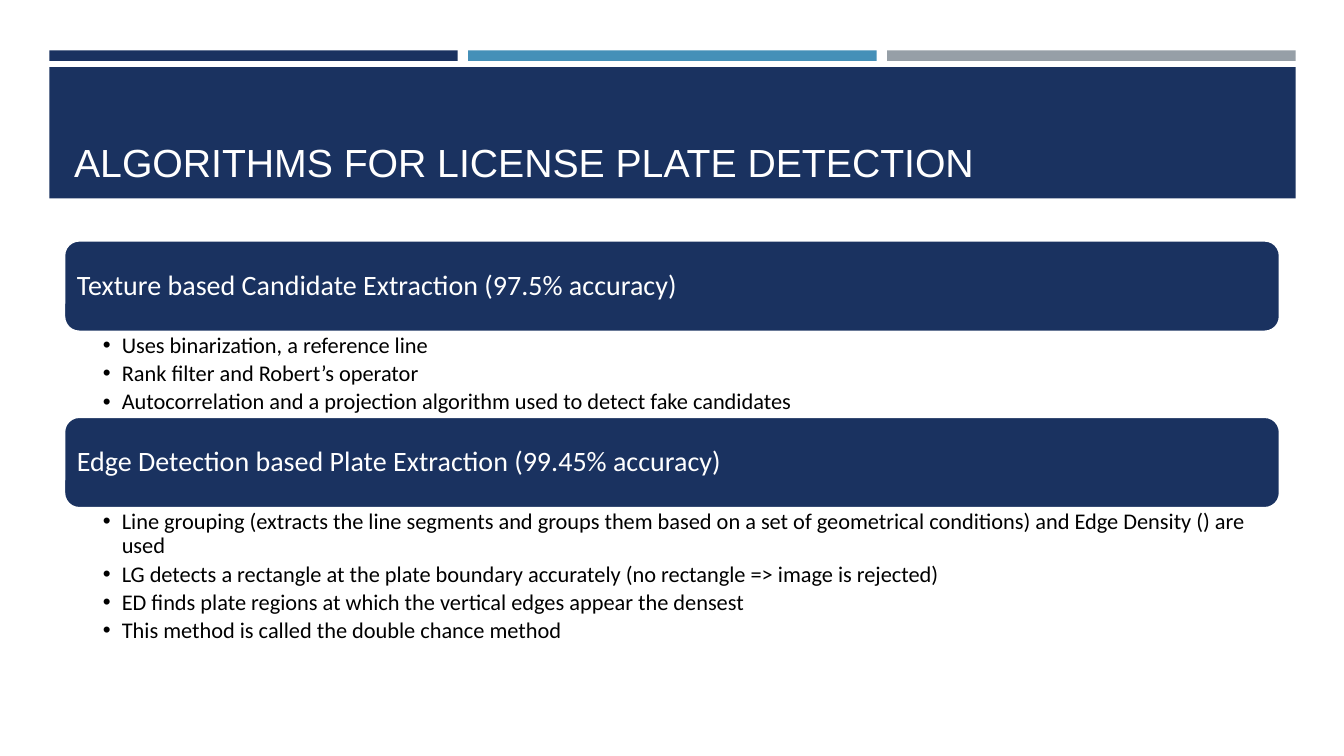
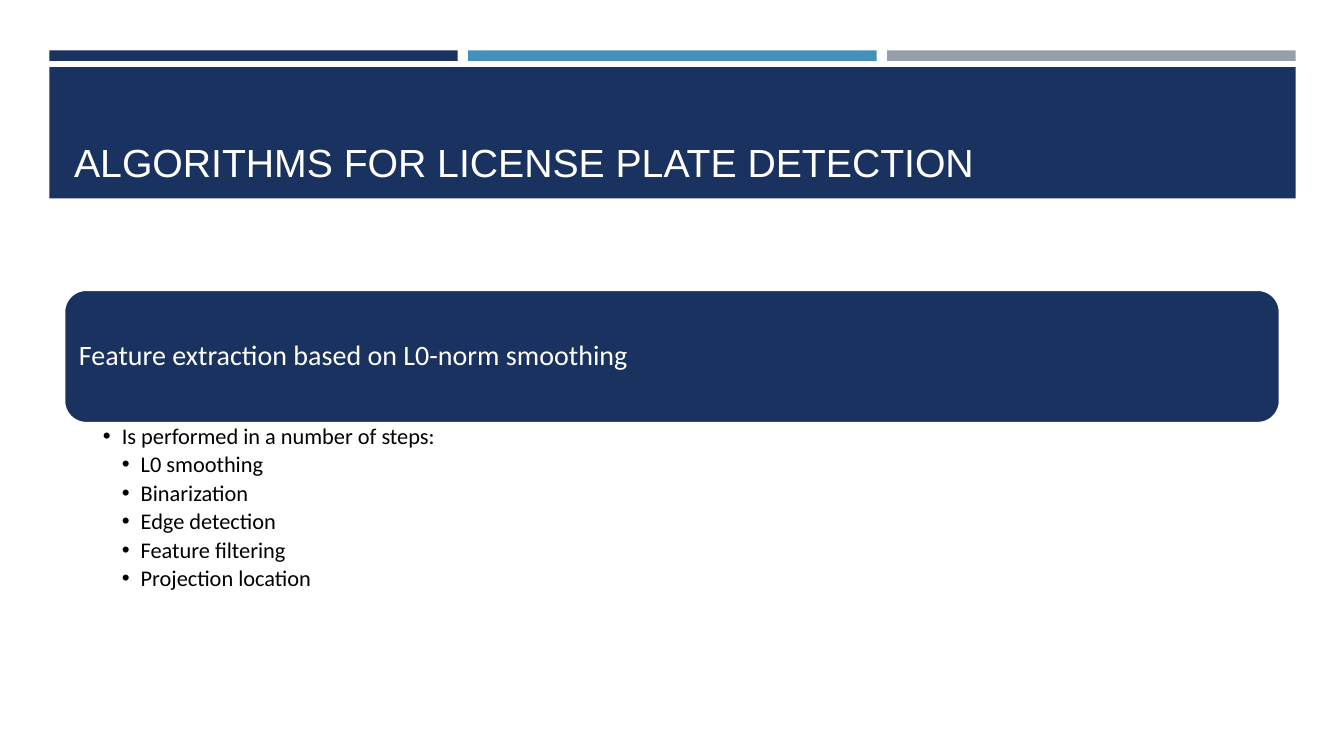
from dataclasses import dataclass

from lxml.etree import SubElement
from pptx import Presentation
from pptx.dml.color import RGBColor
from pptx.enum.shapes import MSO_SHAPE
from pptx.enum.text import MSO_ANCHOR, MSO_AUTO_SIZE, PP_ALIGN
from pptx.oxml.ns import qn
from pptx.presentation import Presentation as Deck
from pptx.shapes.autoshape import Shape
from pptx.slide import Slide
from pptx.text.text import TextFrame, _Paragraph
from pptx.util import Pt

PX = 9525
COLORS = {"navy": "1A3260", "blue": "4590B8", "gray": "969FA7", "white": "FFFFFF", "black": "000000"}
TITLE = "ALGORITHMS FOR LICENSE PLATE DETECTION"
TITLE_FONT, BODY_FONT = "Arial", "Calibri"
BAND_LEFT, BAND_WIDTH = 47, 1187
STRIPE_COLORS, STRIPE_GAP = ("navy", "blue", "gray"), 10
BODY_LEFT, BODY_WIDTH = 61, 1158
BULLET_INDENT = 18


@dataclass(frozen=True)
class Box:
    """A rectangle in px."""

    left: int
    top: int
    width: int
    height: int

    def emu(self) -> tuple[int, int, int, int]:
        """Return the sides in EMU."""
        return self.left * PX, self.top * PX, self.width * PX, self.height * PX


@dataclass(frozen=True)
class Point:
    """A bulleted line and its depth."""

    text: str
    level: int = 1


@dataclass(frozen=True)
class Method:
    """A heading bar with the points below it."""

    heading: str
    top: int
    bar_height: int
    points_height: int
    points: tuple[Point, ...]


SLIDES = (
    (
        Method("Texture based Candidate Extraction (97.5% accuracy)", 229, 87, 81, (
            Point("Uses binarization, a reference line"),
            Point("Rank filter and Robert’s operator"),
            Point("Autocorrelation and a projection algorithm used to detect fake candidates"),
        )),
        Method("Edge Detection based Plate Extraction (99.45% accuracy)", 397, 87, 132, (
            Point("Line grouping (extracts the line segments and groups them based on a set of "
                  "geometrical conditions) and Edge Density () are used"),
            Point("LG detects a rectangle at the plate boundary accurately "
                  "(no rectangle => image is rejected)"),
            Point("ED finds plate regions at which the vertical edges appear the densest"),
            Point("This method is called the double chance method"),
        )),
    ),
    (
        Method("Feature extraction based on L0-norm smoothing", 276, 127, 166, (
            Point("Is performed in a number of steps:"),
            Point("L0 smoothing", 2),
            Point("Binarization", 2),
            Point("Edge detection", 2),
            Point("Feature filtering", 2),
            Point("Projection location", 2),
        )),
    ),
)


def rgb(color: str) -> RGBColor:
    """Look up a named colour."""
    return RGBColor.from_string(COLORS[color])


def style(paragraph: _Paragraph, font: str, size: int, color: str) -> None:
    """Left-align a paragraph and set its font."""
    paragraph.alignment = PP_ALIGN.LEFT
    paragraph.font.name = font
    paragraph.font.size = Pt(size)
    paragraph.font.color.rgb = rgb(color)


def set_insets(frame: TextFrame, left: int, top: int, right: int, bottom: int) -> None:
    """Wrap a text frame and set its insets in px."""
    frame.word_wrap = True
    frame.margin_left, frame.margin_top = left * PX, top * PX
    frame.margin_right, frame.margin_bottom = right * PX, bottom * PX


def add_block(slide: Slide, box: Box, color: str, preset: MSO_SHAPE = MSO_SHAPE.RECTANGLE) -> Shape:
    """Add a flat filled shape without an outline."""
    block = slide.shapes.add_shape(preset, *box.emu())
    block.shadow.inherit = False
    block.fill.solid()
    block.fill.fore_color.rgb = rgb(color)
    block.line.fill.background()
    return block


def add_header(slide: Slide) -> None:
    """Draw the stripes and title band and place the title on them."""
    stripe_count = len(STRIPE_COLORS)
    stripe_width = (BAND_WIDTH - STRIPE_GAP * (stripe_count - 1)) // stripe_count
    for index, color in enumerate(STRIPE_COLORS):
        left = BAND_LEFT + index * (stripe_width + STRIPE_GAP)
        add_block(slide, Box(left, 48, stripe_width, 10), color)
    add_block(slide, Box(BAND_LEFT, 64, BAND_WIDTH, 125), "navy")

    title = slide.shapes.title
    title.left, title.top, title.width, title.height = Box(BODY_LEFT, 74, BODY_WIDTH, 107).emu()
    title.element.getparent().append(title.element)
    frame = title.text_frame
    frame.text = TITLE
    frame.auto_size = MSO_AUTO_SIZE.NONE
    frame.vertical_anchor = MSO_ANCHOR.BOTTOM
    style(frame.paragraphs[0], TITLE_FONT, 28, "white")


def add_bullet(paragraph: _Paragraph, level: int) -> None:
    """Give a paragraph a bullet and a hanging indent."""
    properties = paragraph._p.get_or_add_pPr()
    properties.set("marL", str(level * BULLET_INDENT * PX))
    properties.set("indent", str(-BULLET_INDENT * PX))
    SubElement(properties, qn("a:buFont"), typeface="Arial")
    SubElement(properties, qn("a:buChar"), char="•")


def add_points(slide: Slide, box: Box, points: tuple[Point, ...]) -> None:
    """Write the bulleted points."""
    frame = slide.shapes.add_textbox(*box.emu()).text_frame
    set_insets(frame, 37, 2, 12, 2)
    for index, point in enumerate(points):
        paragraph = frame.add_paragraph() if index else frame.paragraphs[0]
        paragraph.text = point.text
        paragraph.level = point.level
        paragraph.line_spacing = 0.9
        paragraph.space_after = Pt(3)
        add_bullet(paragraph, point.level)
        style(paragraph, BODY_FONT, 16, "black")


def add_method(slide: Slide, method: Method) -> None:
    """Draw a heading bar and its points."""
    bar_box = Box(BODY_LEFT, method.top, BODY_WIDTH, method.bar_height)
    bar = add_block(slide, bar_box, "navy", MSO_SHAPE.ROUNDED_RECTANGLE)
    bar.line.color.rgb = rgb("white")
    bar.line.width = Pt(1.75)
    frame = bar.text_frame
    set_insets(frame, 8, 8, 8, 8)
    frame.vertical_anchor = MSO_ANCHOR.MIDDLE
    heading = frame.paragraphs[0]
    heading.text = method.heading
    heading.line_spacing = 0.9
    style(heading, BODY_FONT, 20, "white")
    points_top = method.top + method.bar_height
    add_points(slide, Box(BODY_LEFT, points_top, BODY_WIDTH, method.points_height), method.points)


def add_slide(deck: Deck, methods: tuple[Method, ...]) -> None:
    """Add a slide that lists detection methods."""
    slide = deck.slides.add_slide(deck.slide_layouts.get_by_name("Title Only"))
    add_header(slide)
    for method in methods:
        add_method(slide, method)


def main() -> None:
    """Build and save the presentation."""
    deck = Presentation()
    deck.slide_width, deck.slide_height = 1280 * PX, 720 * PX
    for methods in SLIDES:
        add_slide(deck, methods)
    deck.save("out.pptx")


if __name__ == "__main__":
    main()
